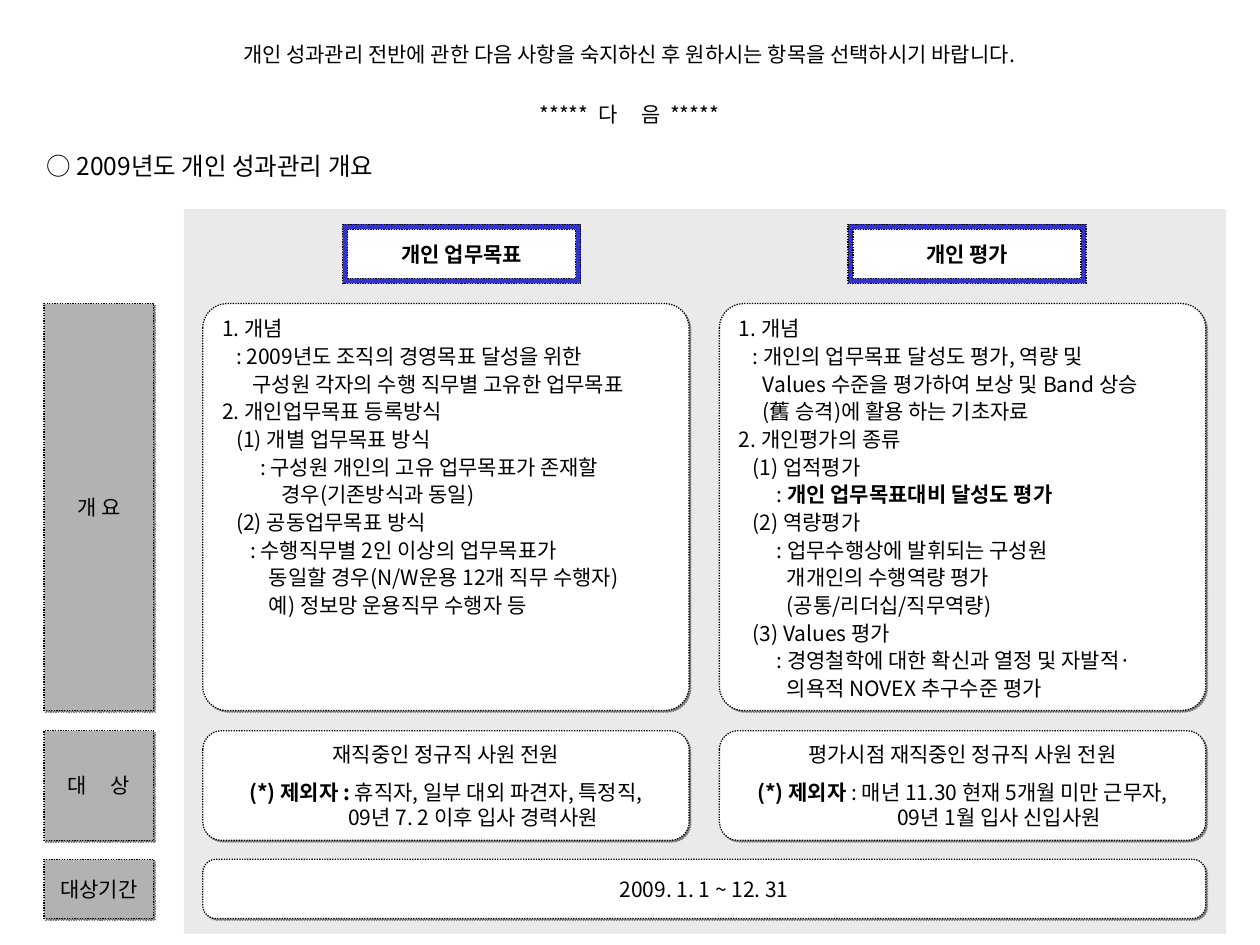
import pptx
import pptx.dml.color
import pptx.enum.dml
import pptx.enum.shapes
import pptx.enum.text
import pptx.oxml.ns
import pptx.util
from lxml import etree

Inches = pptx.util.Inches
ALIGN = pptx.enum.text.PP_ALIGN
ANCHOR = pptx.enum.text.MSO_ANCHOR
SHAPE = pptx.enum.shapes.MSO_SHAPE
qn = pptx.oxml.ns.qn

THEME = {
    "font": "Noto Sans CJK KR", "body": 12, "heading": 14,
    "text": "000000", "panel": "EAEAEA", "frame": "3333CC",
    "label": "B2B2B2", "card": "FFFFFF", "shadow": "808080",
}


def plain(text):
    return {"text": text}


def bold(text):
    return {"text": text, "bold": True}


def gap(points):
    return {"text": " ", "spacing": points}


def line(*runs, indent=0, spacing=None):
    runs = [plain(run) if isinstance(run, str) else run for run in runs]
    return {"runs": runs, "indent": indent, "spacing": spacing}


INTRO = [
    (0.98, 0.28, 8.03, 0.3, ALIGN.CENTER, "body",
     line("개인 성과관리 전반에 관한 다음 사항을 숙지하신 후 원하시는 항목을 선택하시기 바랍니다.")),
    (0.98, 0.76, 8.03, 0.3, ALIGN.CENTER, "body",
     line("*****", gap(2.7), "다", gap(11), "음", gap(2.7), "*****")),
    (0.27, 1.15, 4.73, 0.34, ALIGN.LEFT, "heading", line("○ 2009년도 개인 성과관리 개요")),
]
HEADERS = [(2.72, "개인 업무목표"), (6.73, "개인 평가")]
ROWS = [
    (2.41, 3.23, line("개 요")),
    (5.8, 0.87, line("대", gap(11), "상")),
    (6.82, 0.47, line("대상기간")),
]
COLUMNS = [1.61, 5.71]
OVERVIEWS = [
    [
        (0, "1. 개념"),
        (0.11, ": 2009년도 조직의 경영목표 달성을 위한"),
        (0.24, "구성원 각자의 수행 직무별 고유한 업무목표"),
        (0, "2. 개인업무목표 등록방식"),
        (0.11, "(1) 개별 업무목표 방식"),
        (0.3, ": 구성원 개인의 고유 업무목표가 존재할"),
        (0.47, "경우(기존방식과 동일)"),
        (0.11, "(2) 공동업무목표 방식"),
        (0.22, ": 수행직무별 2인 이상의 업무목표가"),
        (0.37, "동일할 경우(N/W운용 12개 직무 수행자)"),
        (0.37, "예) 정보망 운용직무 수행자 등"),
    ],
    [
        (0, "1. 개념"),
        (0.11, ": 개인의 업무목표 달성도 평가, 역량 및"),
        (0.19, "Values 수준을 평가하여 보상 및 Band 상승"),
        (0.19, "(舊 승격)에 활용 하는 기초자료"),
        (0, "2. 개인평가의 종류"),
        (0.11, "(1) 업적평가"),
        (0.3, ": ", bold("개인 업무목표대비 달성도 평가")),
        (0.11, "(2) 역량평가"),
        (0.3, ": 업무수행상에 발휘되는 구성원"),
        (0.38, "개개인의 수행역량 평가"),
        (0.38, "(공통/리더십/직무역량)"),
        (0.11, "(3) Values 평가"),
        (0.3, ": 경영철학에 대한 확신과 열정 및 자발적·"),
        (0.38, "의욕적 NOVEX 추구수준 평가"),
    ],
]
TARGETS = [
    [
        line("재직중인 정규직 사원 전원"),
        line(bold("(*) 제외자 : "), "휴직자, 일부 대외 파견자, 특정직,", spacing=1.5),
        line("09년 7. 2 이후 입사 경력사원", indent=0.43),
    ],
    [
        line("평가시점 재직중인 정규직 사원 전원"),
        line(bold("(*) 제외자 "), ": 매년 11.30 현재 5개월 미만 근무자,", spacing=1.5),
        line("09년 1월 입사 신입사원", indent=0.58),
    ],
]
PERIOD = line("2009. 1. 1 ~ 12. 31")


def color(name):
    return pptx.dml.color.RGBColor.from_string(THEME[name])


def write(shape, lines, align=ALIGN.CENTER, size="body", wrap=False):
    frame = shape.text_frame
    frame.word_wrap = wrap
    for index, content in enumerate(lines):
        paragraph = frame.add_paragraph() if index else frame.paragraphs[0]
        paragraph.alignment = align
        if content["spacing"]:
            paragraph.line_spacing = content["spacing"]
        if content["indent"]:
            properties = paragraph._p.get_or_add_pPr()
            properties.set("marL", str(Inches(content["indent"])))
            properties.set("indent", "0")
        for item in content["runs"]:
            run = paragraph.add_run()
            run.text = item["text"]
            run.font.size = pptx.util.Pt(THEME[size])
            run.font.bold = item.get("bold", False)
            run.font.color.rgb = color("text")
            run.font.name = THEME["font"]
            properties = run._r.get_or_add_rPr()
            etree.SubElement(properties, qn("a:ea"), typeface=THEME["font"])
            if "spacing" in item:
                properties.set("spc", str(round(item["spacing"] * 100)))


def add_box(slide, left, top, width, height, fill, corner=None, outline=True, shadow=False):
    kind = SHAPE.RECTANGLE if corner is None else SHAPE.ROUNDED_RECTANGLE
    shape = slide.shapes.add_shape(kind, Inches(left), Inches(top), Inches(width), Inches(height))
    if corner is not None:
        shape.adjustments[0] = corner
    shape.fill.solid()
    shape.fill.fore_color.rgb = color(fill)
    shape.shadow.inherit = False
    if outline:
        shape.line.color.rgb = color("text")
        shape.line.width = pptx.util.Pt(0.75)
        shape.line.dash_style = pptx.enum.dml.MSO_LINE.ROUND_DOT
    else:
        shape.line.fill.background()
    if shadow:
        effects = shape._element.spPr.find(qn("a:effectLst"))
        outer = etree.SubElement(effects, qn("a:outerShdw"), dist=str(pptx.util.Pt(1.4)),
                                 dir="2700000", algn="ctr", rotWithShape="0")
        etree.SubElement(outer, qn("a:srgbClr"), val=THEME["shadow"])
    return shape


def main():
    presentation = pptx.Presentation()
    presentation.slide_width, presentation.slide_height = Inches(10), Inches(7.5)
    slide = presentation.slides.add_slide(presentation.slide_layouts[6])

    add_box(slide, 1.46, 1.66, 8.27, 5.75, "panel", outline=False)
    for left, top, width, height, align, size, content in INTRO:
        shape = slide.shapes.add_textbox(Inches(left), Inches(top), Inches(width), Inches(height))
        write(shape, [content], align, size, wrap=True)

    for left, title in HEADERS:
        add_box(slide, left, 1.78, 1.89, 0.47, "frame")
        shape = add_box(slide, left + 0.04, 1.82, 1.81, 0.39, "card")
        write(shape, [line(bold(title))])

    for top, height, label in ROWS:
        write(add_box(slide, 0.35, top, 0.87, height, "label", shadow=True), [label])

    overview_row, target_row, period_row = [row[:2] for row in ROWS]
    card_width = 3.86
    for left, overview, target in zip(COLUMNS, OVERVIEWS, TARGETS):
        top, height = overview_row
        shape = add_box(slide, left, top, card_width, height, "card", corner=0.06, shadow=True)
        shape.text_frame.vertical_anchor = ANCHOR.TOP
        shape.text_frame.margin_top = Inches(0.02)
        lines = [line(*runs, indent=indent, spacing=1.1) for indent, *runs in overview]
        write(shape, lines, ALIGN.LEFT, wrap=True)
        top, height = target_row
        write(add_box(slide, left, top, card_width, height, "card", corner=0.17, shadow=True), target)

    top, height = period_row
    width = COLUMNS[-1] + card_width - COLUMNS[0]
    write(add_box(slide, COLUMNS[0], top, width, height, "card", corner=0.22, shadow=True), [PERIOD])
    presentation.save("out.pptx")


if __name__ == "__main__":
    main()
